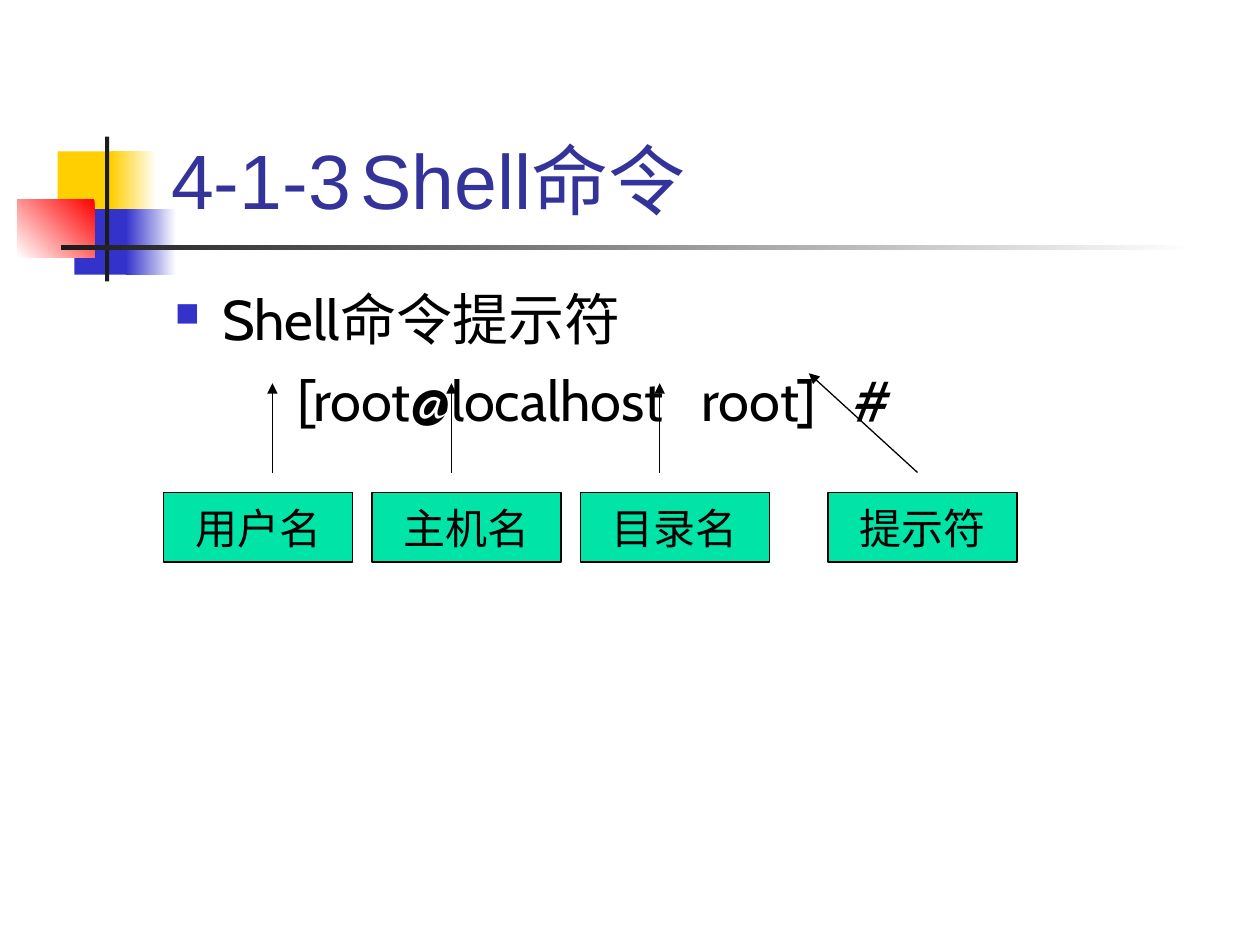
from lxml.etree import SubElement
from pptx import Presentation
from pptx.dml.color import RGBColor
from pptx.enum.shapes import MSO_CONNECTOR, MSO_SHAPE
from pptx.enum.text import MSO_ANCHOR, PP_ALIGN
from pptx.oxml.ns import qn
from pptx.util import Pt

BLACK = RGBColor(0x00, 0x00, 0x00)
WHITE = RGBColor(0xFF, 0xFF, 0xFF)
CHARCOAL = RGBColor(0x1C, 0x1C, 0x1C)
YELLOW = RGBColor(0xFF, 0xCF, 0x01)
BLUE = RGBColor(0x33, 0x33, 0xCC)
RED = RGBColor(0xFF, 0x00, 0x00)
TITLE_BLUE = RGBColor(0x33, 0x33, 0x99)
GREEN = RGBColor(0x00, 0xE4, 0xA8)


def add_block(page, left, top, width, height, colors, angle=180):
    """Add a borderless rectangle: one colour is solid, two make a gradient."""
    block = page.shapes.add_shape(MSO_SHAPE.RECTANGLE, Pt(left), Pt(top), Pt(width), Pt(height))
    block.shadow.inherit = False
    block.line.fill.background()
    if len(colors) == 1:
        block.fill.solid()
        block.fill.fore_color.rgb = colors[0]
    else:
        block.fill.gradient()
        block.fill.gradient_angle = angle
        for stop, color in zip(block.fill.gradient_stops, colors):
            stop.color.rgb = color
    return block


def add_text_box(page, left, top, width, height, anchor=MSO_ANCHOR.TOP):
    box = page.shapes.add_textbox(Pt(left), Pt(top), Pt(width), Pt(height))
    box.text_frame.word_wrap = True
    box.text_frame.vertical_anchor = anchor
    return box


def write(para, text, *, size, font, color=BLACK, align=PP_ALIGN.LEFT,
          before=0, margin=0, hanging=0, bullet=None, tab=None):
    """Fill a paragraph with formatted text."""
    para.alignment = align
    para.space_before = Pt(before)
    properties = para._p.get_or_add_pPr()
    properties.set("marL", str(Pt(margin)))
    properties.set("indent", str(-Pt(hanging)))
    if bullet:
        bullet_color = SubElement(properties, qn("a:buClr"))
        SubElement(bullet_color, qn("a:srgbClr"), val=str(BLUE))
        SubElement(properties, qn("a:buSzPct"), val="60000")
        SubElement(properties, qn("a:buChar"), char=bullet)
    if tab:
        tabs = SubElement(properties, qn("a:tabLst"))
        SubElement(tabs, qn("a:tab"), pos=str(Pt(tab)), algn="l")
    span = para.add_run()
    span.text = text
    span.font.size = Pt(size)
    span.font.name = font
    span.font.color.rgb = color


def add_arrow(page, start, end):
    arrow = page.shapes.add_connector(
        MSO_CONNECTOR.STRAIGHT, *(Pt(length) for length in (*start, *end)))
    arrow.line.color.rgb = BLACK
    arrow.line.width = Pt(0.75)
    SubElement(arrow.line._get_or_add_ln(), qn("a:tailEnd"), type="triangle")
    SubElement(arrow._element.spPr, qn("a:effectLst"))


def add_label(page, text, left):
    label = add_block(page, left, 281.5, 108, 39.6, [GREEN])
    label.line.color.rgb = BLACK
    label.line.width = Pt(0.75)
    label.text_frame.word_wrap = False
    label.text_frame.vertical_anchor = MSO_ANCHOR.MIDDLE
    write(label.text_frame.paragraphs[0], text, size=24,
          font="Times New Roman", align=PP_ALIGN.CENTER)


def add_ornament(page):
    add_block(page, 33, 86.5, 34.5, 37.5, [YELLOW])
    add_block(page, 63.5, 86.5, 26, 37.5, [WHITE, YELLOW])
    add_block(page, 42.5, 119.5, 33, 37.5, [BLUE])
    add_block(page, 72, 119.5, 28.8, 37.5, [WHITE, BLUE])
    add_block(page, 10, 113.8, 44, 33.2, [RED, WHITE], angle=225)
    add_block(page, 60, 78, 2.4, 82.8, [CHARCOAL])
    add_block(page, 34.8, 140.2, 648, 2.4, [WHITE, CHARCOAL])


def main():
    deck = Presentation()
    deck.slide_width, deck.slide_height = Pt(720), Pt(540)
    page = deck.slides.add_slide(deck.slide_layouts[6])
    add_ornament(page)

    # Title
    title = add_text_box(page, 90.7, 16.6, 613.4, 115.2, MSO_ANCHOR.BOTTOM)
    write(title.text_frame.paragraphs[0], "4-1-3\tShell命令", size=44,
          font="Arial", color=TITLE_BLUE, tab=127)

    # Heading and the shell prompt
    body = add_text_box(page, 92.9, 159.1, 612, 324).text_frame
    write(body.paragraphs[0], "Shell命令提示符", size=32, font="Cabin",
          margin=27, hanging=27, bullet="■")
    write(body.add_paragraph(), "[root@localhost   root]   #", size=32,
          font="Cabin", before=8, margin=70)

    # Labels under the parts of the prompt
    for text, left in (("用户名", 93.6), ("主机名", 212.6), ("目录名", 331.6), ("提示符", 473.2)):
        add_label(page, text, left)

    # Arrows from labels to prompt
    for x in (155.7, 258, 377):
        add_arrow(page, (x, 270), (x, 219))
    add_arrow(page, (524.3, 270), (462.2, 213.3))

    deck.save("out.pptx")


if __name__ == "__main__":
    main()
